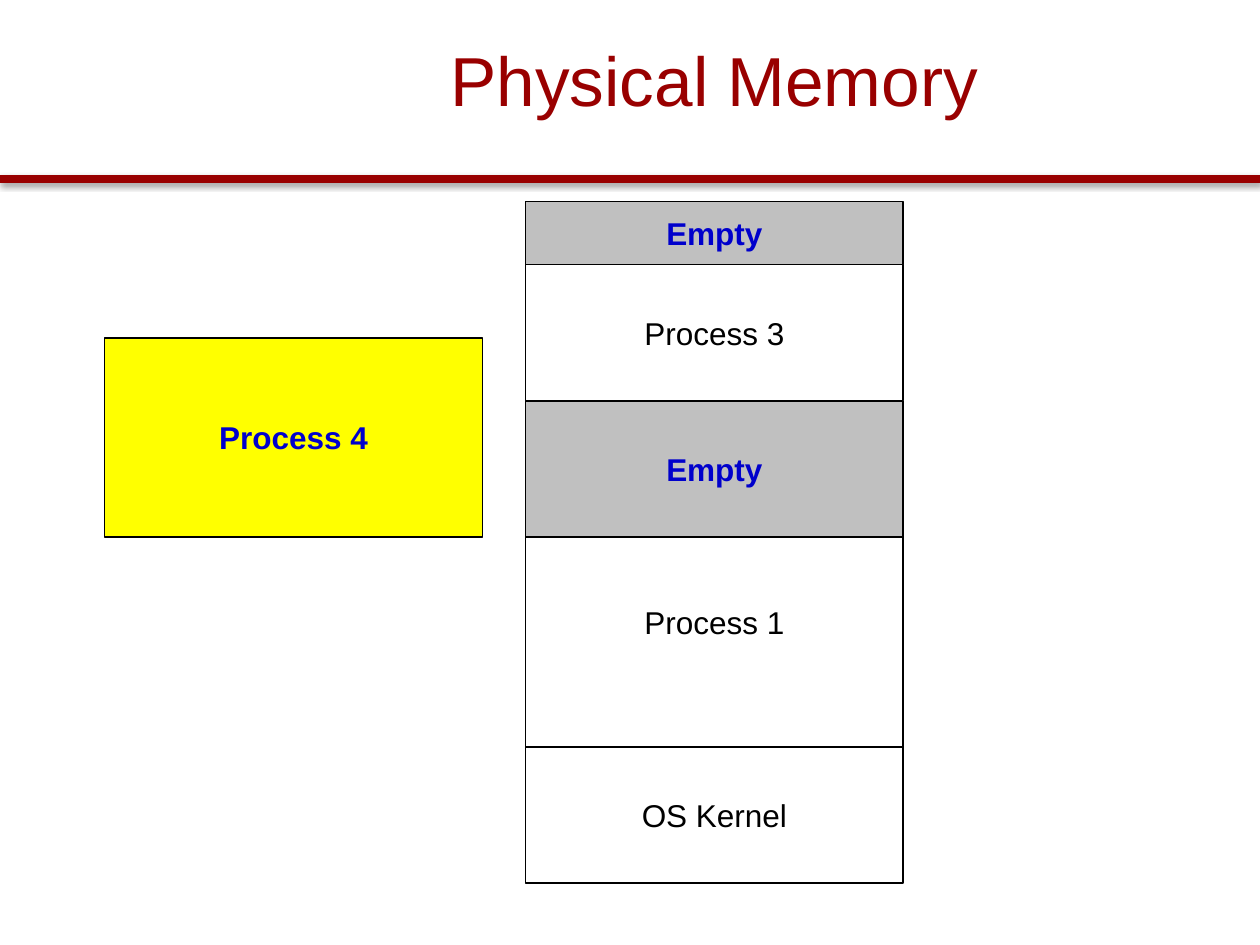
from dataclasses import dataclass

from lxml import etree
from pptx import Presentation
from pptx.dml.color import RGBColor
from pptx.enum.shapes import MSO_CONNECTOR, MSO_SHAPE
from pptx.enum.text import MSO_ANCHOR, PP_ALIGN
from pptx.oxml import parse_xml
from pptx.slide import Slide
from pptx.text.text import TextFrame
from pptx.util import Inches, Pt

STRAIGHT = MSO_CONNECTOR.STRAIGHT
RECTANGLE = MSO_SHAPE.RECTANGLE
MIDDLE = MSO_ANCHOR.MIDDLE
CENTER = PP_ALIGN.CENTER

FONT = "Arial"
DARK_RED, BLACK, WHITE = "990000", "000000", "FFFFFF"
GREY, YELLOW, BLUE = "C0C0C0", "FFFF00", "0000CC"
BLOCK_WIDTH = 3
MEMORY_LEFT, MEMORY_TOP = 4.17, 1.6

RULE_SHADOW = (
    '<a:effectLst xmlns:a="http://schemas.openxmlformats.org/drawingml/2006/main">'
    '<a:outerShdw blurRad="39370" dist="20320" dir="5400000" rotWithShape="0">'
    '<a:srgbClr val="000000"><a:alpha val="38000"/></a:srgbClr>'
    "</a:outerShdw></a:effectLst>"
)


@dataclass(frozen=True)
class Block:
    label: str
    height: float
    fill: str | None = None
    color: str = BLACK
    bold: bool = False
    space_below: float = 0.05


MEMORY = [
    Block("Empty", 0.5, GREY, BLUE, True),
    Block("Process 3", 1.08, WHITE),
    Block("Empty", 1.08, GREY, BLUE, True),
    Block("Process 1", 1.67, space_below=0.36),
    Block("OS Kernel", 1.08),
]
WAITING = Block("Process 4", 1.58, YELLOW, BLUE, True)


def rgb(value: str) -> RGBColor:
    return RGBColor.from_string(value)


def write(frame: TextFrame, text: str, size: float, color: str, bold: bool = False) -> None:
    """Put one centred line of text in the middle of the frame."""
    frame.vertical_anchor = MIDDLE
    paragraph = frame.paragraphs[0]
    paragraph.text = text
    paragraph.alignment = CENTER
    font = paragraph.font
    font.name, font.size, font.bold = FONT, Pt(size), bold
    font.color.rgb = rgb(color)


def draw_block(slide: Slide, block: Block, left: float, top: float) -> None:
    shape = slide.shapes.add_shape(
        RECTANGLE, Inches(left), Inches(top), Inches(BLOCK_WIDTH), Inches(block.height)
    )
    shape.shadow.inherit = False
    if block.fill is None:
        shape.fill.background()
    else:
        shape.fill.solid()
        shape.fill.fore_color.rgb = rgb(block.fill)
    shape.line.color.rgb = rgb(BLACK)
    shape.line.width = Pt(1)
    frame = shape.text_frame
    frame.word_wrap = False
    frame.margin_bottom = Inches(block.space_below)
    write(frame, block.label, 18, block.color, block.bold)
    frame.paragraphs[0].space_before = Pt(1.8)


def draw_header(slide: Slide) -> None:
    rule = slide.shapes.add_connector(
        STRAIGHT, Inches(0), Inches(1.42), Inches(10), Inches(1.42)
    )
    rule.line.color.rgb = rgb(DARK_RED)
    rule.line.width = Pt(5)
    etree.ElementBase.append(rule._element.spPr, parse_xml(RULE_SHADOW))

    title = slide.shapes.add_textbox(Inches(1.42), Inches(0.25), Inches(8.5), Inches(0.75))
    title.text_frame.word_wrap = True
    write(title.text_frame, "Physical Memory", 39.6, DARK_RED)


def main() -> None:
    presentation = Presentation()
    presentation.slide_width = Inches(10)
    presentation.slide_height = Inches(7.5)
    slide = presentation.slides.add_slide(presentation.slide_layouts[6])

    draw_header(slide)
    top = MEMORY_TOP
    for block in MEMORY:
        draw_block(slide, block, MEMORY_LEFT, top)
        top += block.height
    draw_block(slide, WAITING, 0.83, 2.68)

    presentation.save("out.pptx")


if __name__ == "__main__":
    main()
